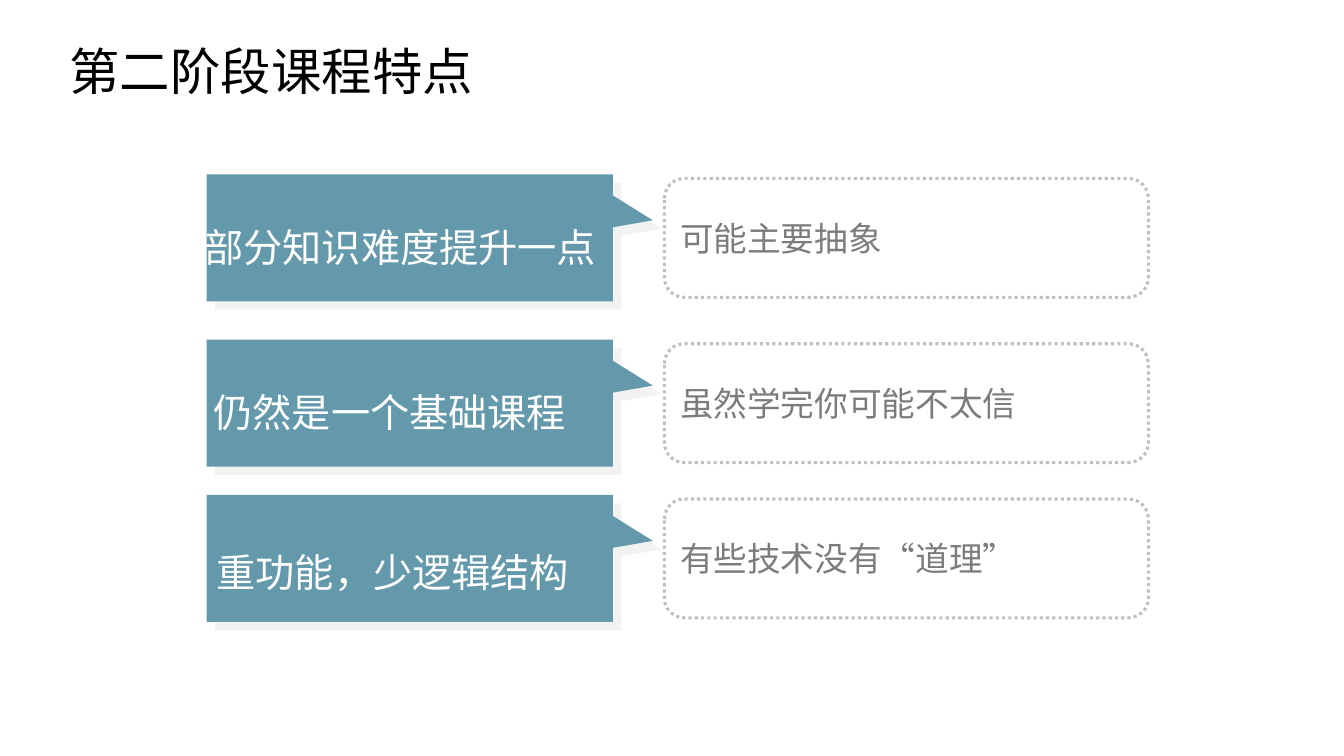
from lxml import etree
from pptx import Presentation
from pptx.dml.color import RGBColor
from pptx.enum.dml import MSO_LINE
from pptx.enum.lang import MSO_LANGUAGE_ID
from pptx.enum.shapes import MSO_SHAPE
from pptx.enum.text import MSO_ANCHOR, PP_ALIGN
from pptx.oxml import parse_xml
from pptx.util import Inches, Pt

COLORS = {"title": "000000", "callout": "6399AB", "label": "FFFFFF",
          "border": "C0C0C0", "detail": "7C7C7C", "shadow": "E7E6E6"}
SHADOW = f"""<a:effectLst xmlns:a="http://schemas.openxmlformats.org/drawingml/2006/main">
<a:outerShdw dist="{Pt(8.5)}" dir="2700000" algn="tl" rotWithShape="0">
<a:srgbClr val="{COLORS['shadow']}"><a:alpha val="50000"/></a:srgbClr>
</a:outerShdw></a:effectLst>"""


def write(frame, text, size, font, color, anchor=MSO_ANCHOR.TOP, wrap=True):
    frame.word_wrap = wrap
    frame.vertical_anchor = anchor
    paragraph = frame.paragraphs[0]
    paragraph.alignment = PP_ALIGN.LEFT
    run = paragraph.add_run()
    run.text = text
    run.font.size = Pt(size)
    run.font.name = font
    run.font.language_id = MSO_LANGUAGE_ID.SIMPLIFIED_CHINESE
    run.font.color.rgb = RGBColor.from_string(COLORS[color])


prs = Presentation()
prs.slide_width, prs.slide_height = Inches(13.33), Inches(7.5)
slide = prs.slides.add_slide(prs.slide_layouts[5])

heading = slide.shapes.title
heading.left, heading.top = Inches(0.59), Inches(0.35)
heading.width, heading.height = Inches(4.24), Inches(0.71)
write(heading.text_frame, "第二阶段课程特点", 36, "Calibri", "title", wrap=False)

features = [
    (1.73, "部分知识难度提升一点", 1.93, 2.17, 4.15, "可能主要抽象", "Arial"),
    (3.37, "仍然是一个基础课程", 2.02, 3.8, 3.74, "虽然学完你可能不太信", "Courier New"),
    (4.91, "重功能，少逻辑结构", 2.05, 5.39, 4.03, "有些技术没有“道理”", "Courier New"),
]
for top, label, label_left, label_top, label_width, detail, detail_font in features:
    detail_box = slide.shapes.add_shape(
        MSO_SHAPE.ROUNDED_RECTANGLE, Inches(6.59), Inches(top + 0.04), Inches(4.8), Inches(1.18))
    detail_box.adjustments[0] = 0.167
    detail_box.shadow.inherit = False
    detail_box.fill.background()
    detail_box.line.color.rgb = RGBColor.from_string(COLORS["border"])
    detail_box.line.width = Pt(2.25)
    detail_box.line.dash_style = MSO_LINE.ROUND_DOT
    write(detail_box.text_frame, detail, 24, detail_font, "detail", MSO_ANCHOR.MIDDLE)

    callout = slide.shapes.add_shape(
        MSO_SHAPE.RECTANGULAR_CALLOUT, Inches(2.05), Inches(top), Inches(4.03), Inches(1.26))
    callout.adjustments[0], callout.adjustments[1] = 0.598, -0.138
    callout.fill.solid()
    callout.fill.fore_color.rgb = RGBColor.from_string(COLORS["callout"])
    callout.line.fill.background()
    callout.element.spPr.append(parse_xml(SHADOW))

    label_box = slide.shapes.add_textbox(
        Inches(label_left), Inches(label_top), Inches(label_width), Inches(0.57))
    write(label_box.text_frame, label, 28, "Courier New", "label")

prs.save("out.pptx")
